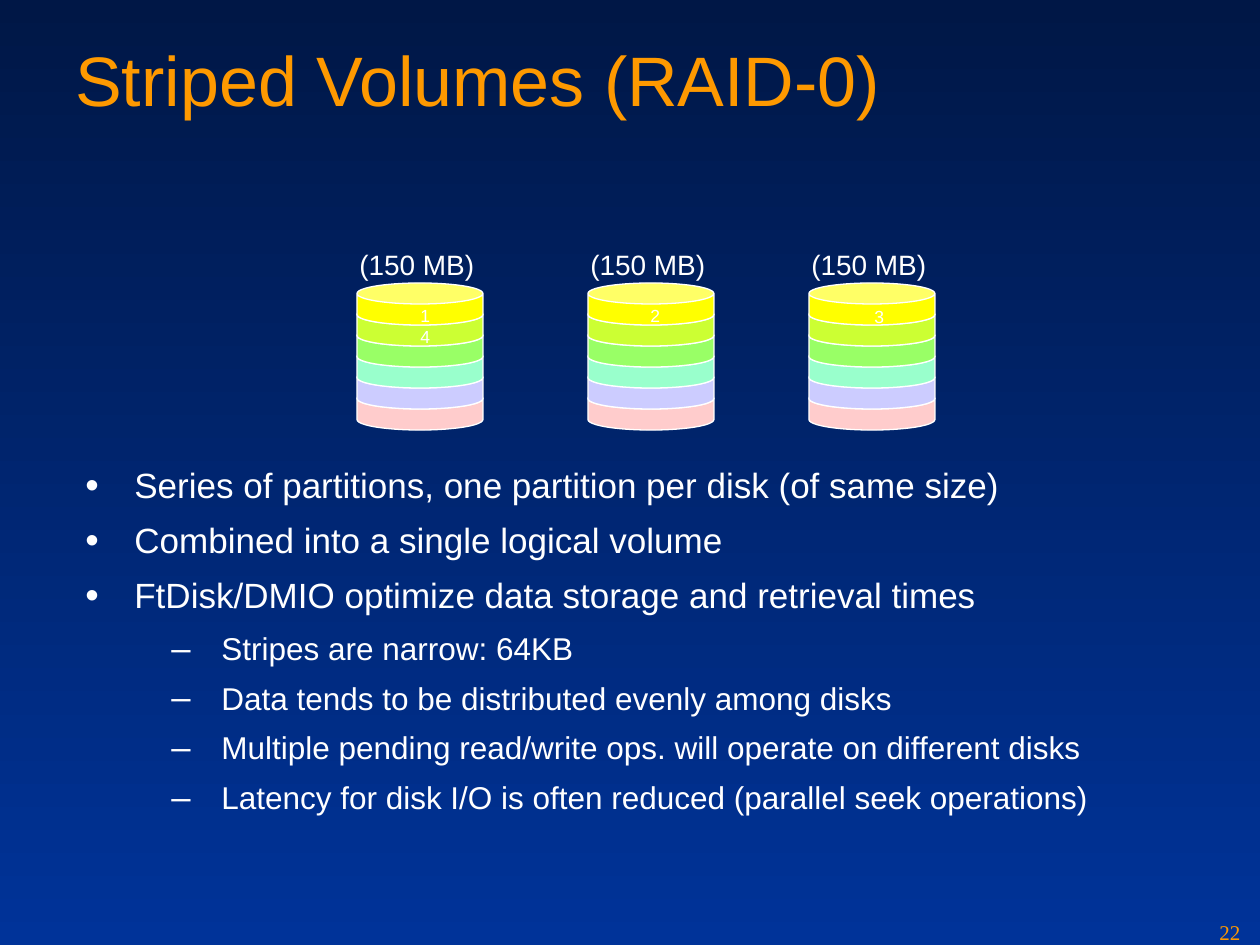
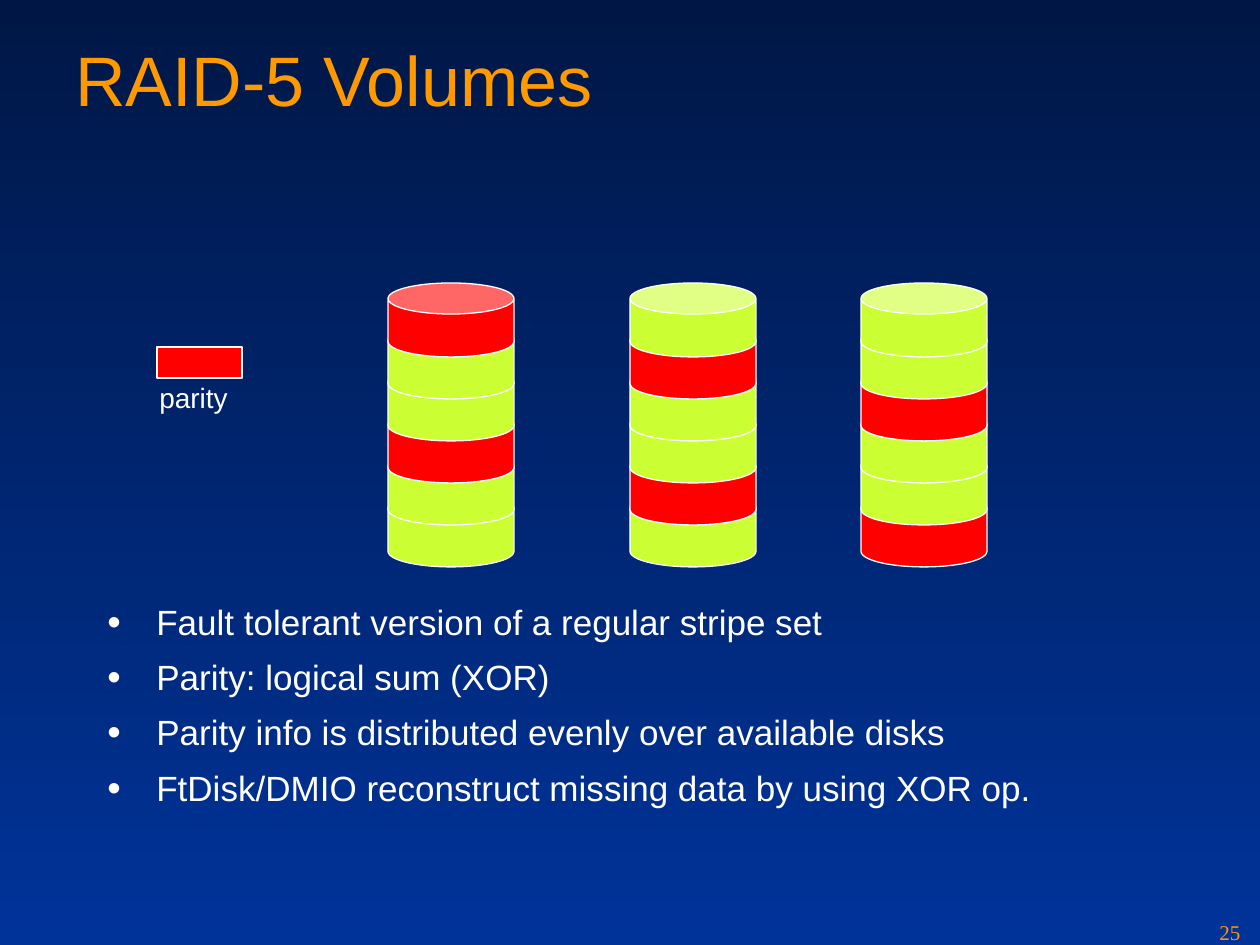
from dataclasses import dataclass

from lxml.etree import SubElement
from pptx import Presentation
from pptx.dml.color import RGBColor
from pptx.enum.shapes import MSO_SHAPE
from pptx.oxml.ns import qn
from pptx.util import Emu, Pt


@dataclass(frozen=True)
class Theme:
    sky: str = "001746"
    sea: str = "003399"
    accent: str = "FE9900"
    white: str = "FFFFFF"
    data: str = "CCFF33"
    parity: str = "FF0000"
    font: str = "Arial"
    number_font: str = "Times New Roman"
    title_size: int = 40
    label_size: int = 16
    number_size: int = 12
    stripe_size: int = 10
    outline: float = 0.75


THEME = Theme()
PX_PER_INCH = 126
BLANK_LAYOUT = 6
TITLE_BOX = (63, 30, 1134, 158)
NUMBER_BOX = (1207, 913, 53, 32)
DISK_TOP = 283
DISK_WIDTH = 126

BULLET_LEVELS = [
    {"mark": "•", "size": 20, "space": 5, "margin": 49, "hanging": 49},
    {"mark": "–", "size": 18, "space": 4.5, "margin": 136, "hanging": 50},
]

STRIPE_COLORS = ["FFFF00", THEME.data, "99FF66", "99FFCC", "CCCCFF", "FFCCCC"]
D, P = THEME.data, THEME.parity

SLIDES = [
    {
        "title": "Striped Volumes (RAID-0)",
        "number": "22",
        "bullet_box": (73, 462, 1134, 427),
        "bullets": [
            (0, "Series of partitions, one partition per disk (of same size)"),
            (0, "Combined into a single logical volume"),
            (0, "FtDisk/DMIO optimize data storage and retrieval times"),
            (1, "Stripes are narrow: 64KB"),
            (1, "Data tends to be distributed evenly among disks"),
            (1, "Multiple pending read/write ops. will operate on different disks"),
            (1, "Latency for disk I/O is often reduced (parallel seek operations)"),
        ],
        "disks": [(357, STRIPE_COLORS), (588, STRIPE_COLORS), (809, STRIPE_COLORS)],
        "stripe": {"step": 21, "height": 42, "curve": 0.5},
        "capacity": "(150 MB)",
        "stripe_numbers": [("1", 408, 299), ("2", 638, 299), ("4", 408, 320), ("3", 862, 300)],
    },
    {
        "title": "RAID-5 Volumes",
        "number": "25",
        "bullet_box": (95, 599, 1134, 273),
        "bullets": [
            (0, "Fault tolerant version of a regular stripe set"),
            (0, "Parity: logical sum (XOR)"),
            (0, "Parity info is distributed evenly over available disks"),
            (0, "FtDisk/DMIO reconstruct missing data by using XOR op."),
        ],
        "disks": [
            (388, [P, D, D, P, D, D]),
            (630, [D, P, D, D, P, D]),
            (861, [D, D, P, D, D, P]),
        ],
        "stripe": {"step": 42, "height": 74, "curve": 0.42},
        "legend": "parity",
    },
]


def px(length):
    return Emu(round(length * 914400 / PX_PER_INCH))


def add_run(paragraph, text, size, color, font=THEME.font):
    run = paragraph.add_run()
    run.text = text
    run.font.size = Pt(size)
    run.font.name = font
    run.font.color.rgb = RGBColor.from_string(color)


def add_frame(slide, box):
    frame = slide.shapes.add_textbox(*map(px, box)).text_frame
    frame.word_wrap = True
    return frame


def add_text(slide, box, text, size, color=THEME.white, font=THEME.font):
    frame = add_frame(slide, box)
    add_run(frame.paragraphs[0], text, size, color, font)


def add_outlined(slide, kind, box, color):
    shape = slide.shapes.add_shape(kind, *map(px, box))
    shape.shadow.inherit = False
    shape.fill.solid()
    shape.fill.fore_color.rgb = RGBColor.from_string(color)
    shape.line.color.rgb = RGBColor.from_string(THEME.white)
    shape.line.width = Pt(THEME.outline)
    return shape


def set_bullet(paragraph, level):
    properties = paragraph._p.get_or_add_pPr()
    properties.set("marL", str(px(level["margin"])))
    properties.set("indent", str(-px(level["hanging"])))
    color = SubElement(properties, qn("a:buClr"))
    SubElement(color, qn("a:srgbClr"), val=THEME.white)
    SubElement(properties, qn("a:buSzPct"), val="110000")
    SubElement(properties, qn("a:buFont"), typeface=THEME.font)
    SubElement(properties, qn("a:buChar"), char=level["mark"])


def add_bullets(slide, box, bullets):
    frame = add_frame(slide, box)
    for index, (depth, text) in enumerate(bullets):
        paragraph = frame.add_paragraph() if index else frame.paragraphs[0]
        level = BULLET_LEVELS[depth]
        set_bullet(paragraph, level)
        paragraph.level = depth
        paragraph.line_spacing = 0.9
        paragraph.space_before = Pt(level["space"] if index else 0)
        paragraph.space_after = Pt(level["space"])
        add_run(paragraph, text, level["size"], THEME.white)


def add_disk(slide, left, colors, stripe):
    for row, color in reversed(list(enumerate(colors))):
        box = (left, DISK_TOP + row * stripe["step"], DISK_WIDTH, stripe["height"])
        can = add_outlined(slide, MSO_SHAPE.CAN, box, color)
        can.adjustments[0] = stripe["curve"]


def add_base(presentation, content):
    slide = presentation.slides.add_slide(presentation.slide_layouts[BLANK_LAYOUT])
    fill = slide.background.fill
    fill.gradient()
    fill.gradient_angle = 270
    for stop, color in zip(fill.gradient_stops, (THEME.sky, THEME.sea)):
        stop.color.rgb = RGBColor.from_string(color)
    add_text(slide, TITLE_BOX, content["title"], THEME.title_size, THEME.accent)
    add_bullets(slide, content["bullet_box"], content["bullets"])
    return slide


def add_volume_slide(presentation, content):
    slide = add_base(presentation, content)
    for left, colors in content["disks"]:
        add_disk(slide, left, colors, content["stripe"])
    if "capacity" in content:
        for left, _ in content["disks"]:
            add_text(slide, (left - 10, 241, 150, 47), content["capacity"], THEME.label_size)
    for text, left, top in content.get("stripe_numbers", []):
        add_text(slide, (left, top, 40, 34), text, THEME.stripe_size)
    if "legend" in content:
        add_outlined(slide, MSO_SHAPE.RECTANGLE, (157, 347, 85, 31), THEME.parity)
        add_text(slide, (147, 374, 110, 47), content["legend"], THEME.label_size)
    add_text(slide, NUMBER_BOX, content["number"], THEME.number_size,
             THEME.accent, THEME.number_font)


def main():
    presentation = Presentation()
    presentation.slide_width = px(1260)
    presentation.slide_height = px(945)
    for content in SLIDES:
        add_volume_slide(presentation, content)
    presentation.save("out.pptx")


if __name__ == "__main__":
    main()
